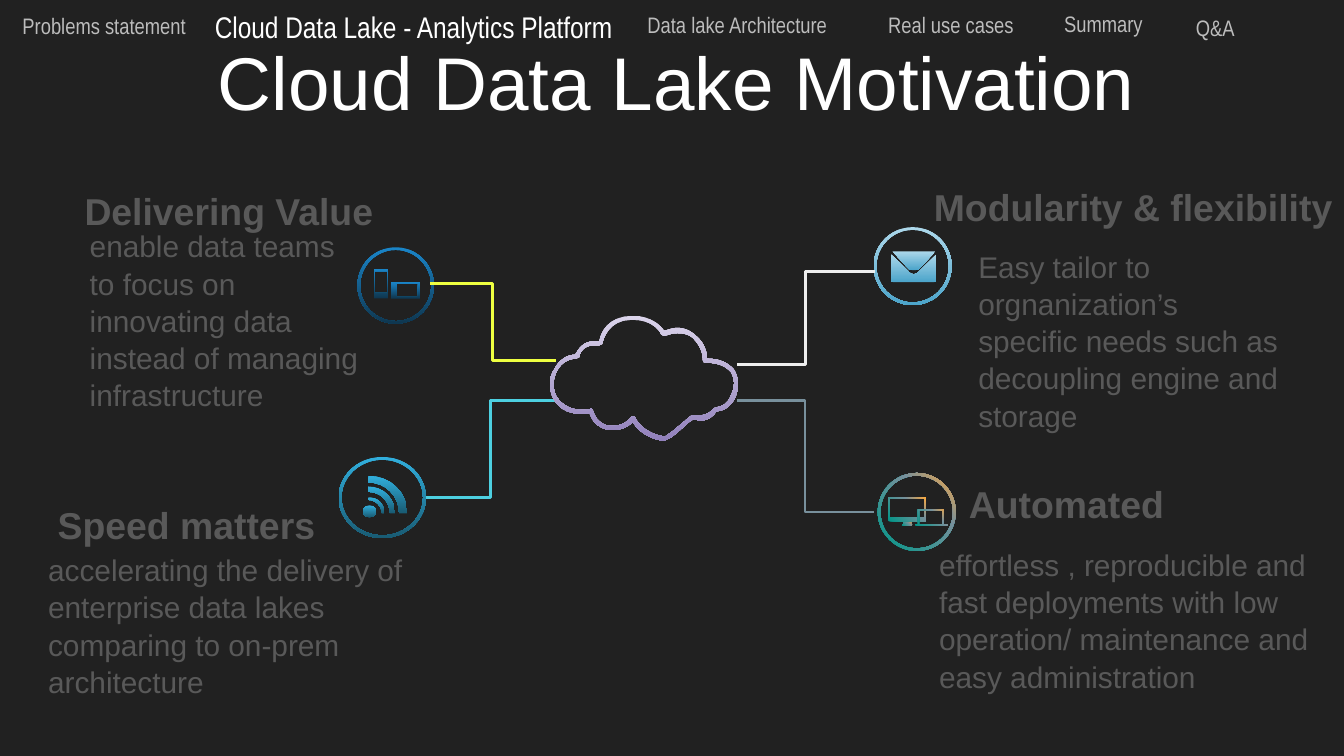
from copy import deepcopy

from pptx import Presentation
from pptx.dml.color import RGBColor
from pptx.enum.shapes import MSO_CONNECTOR as Link, MSO_SHAPE as Preset
from pptx.enum.text import MSO_ANCHOR as Anchor, MSO_AUTO_SIZE as Fit, PP_ALIGN as Align
from pptx.oxml.ns import qn
from pptx.oxml.xmlchemy import OxmlElement
from pptx.util import Pt

BACKGROUND = RGBColor(0x21, 0x21, 0x21)
WHITE = RGBColor(0xFF, 0xFF, 0xFF)
GRAY = RGBColor(0x59, 0x59, 0x59)
SILVER = RGBColor(0xBC, 0xBC, 0xBC)
YELLOW = RGBColor(0xEE, 0xFF, 0x41)
CYAN = RGBColor(0x4D, 0xD0, 0xE1)
PALE = RGBColor(0xEE, 0xEE, 0xEE)
SLATE = RGBColor(0x78, 0x90, 0x9C)
TEAL = RGBColor(0x00, 0x96, 0x88)
ORANGE = RGBColor(0xFF, 0xAB, 0x40)

DEVICE_BLUES = (270, [(0, RGBColor(0x1A, 0x85, 0xC8)), (1, RGBColor(0x0F, 0x37, 0x50))])
MAIL_BLUES = (270, [(0, RGBColor(0xAD, 0xD8, 0xEB)), (1, RGBColor(0x4B, 0xA4, 0xCA))])
SIGNAL_BLUES = (270, [(0, RGBColor(0x31, 0xAF, 0xDD)), (1, RGBColor(0x19, 0x5B, 0x73))])
CLOUD_PURPLES = (270, [(0, RGBColor(0xDB, 0xD4, 0xEB)), (1, RGBColor(0x91, 0x80, 0xBB))])
SUNRISE = (45, [(0, TEAL), (0.66, SLATE), (1, ORANGE)])

OUTLINE_UNIT = Pt(0.72)
CURVE_STEPS = 8


def rectangle(left, top, right, bottom):
    return [(left, top), (right, top), (right, bottom), (left, bottom)]


def flatten(outline):
    points = [outline[0]]
    for step in outline[1:]:
        if len(step) == 2:
            points.append(step)
            continue
        x0, y0 = points[-1]
        x1, y1, x2, y2, x3, y3 = step
        for n in range(1, CURVE_STEPS + 1):
            t = n / CURVE_STEPS
            u = 1 - t
            a, b, c, d = u ** 3, 3 * u * u * t, 3 * u * t * t, t ** 3
            points.append((a * x0 + b * x1 + c * x2 + d * x3,
                           a * y0 + b * y1 + c * y2 + d * y3))
    return [(round(x * OUTLINE_UNIT), round(y * OUTLINE_UNIT)) for x, y in points]


class MotivationSlide:
    title_style = dict(size=Pt(40), name="Arial", color=WHITE)
    heading_style = dict(size=Pt(20), name="Arial", bold=True, color=GRAY)
    body_style = dict(size=Pt(16), name="Arial", color=GRAY)
    tab_style = dict(size=Pt(12), name="Arial Narrow", color=SILVER)
    active_tab_style = dict(size=Pt(16), name="Arial Narrow", color=WHITE)

    def __init__(self, deck):
        self.slide = deck.slides.add_slide(deck.slide_layouts[5])
        self.shapes = self.slide.shapes
        fill = self.slide.background.fill
        fill.solid()
        fill.fore_color.rgb = BACKGROUND

    def fill_text(self, frame, words, style, **layout):
        for key, value in layout.items():
            setattr(frame, key, value)
        paragraph = frame.paragraphs[0]
        run = paragraph.add_run()
        run.text = words
        for key, value in style.items():
            if key == "color":
                run.font.color.rgb = value
            else:
                setattr(run.font, key, value)
        return paragraph

    def title(self, words, box):
        heading = self.shapes.title
        for key, value in zip(("left", "top", "width", "height"), box):
            setattr(heading, key, Pt(value))
        inset = Pt(7.2)
        paragraph = self.fill_text(
            heading.text_frame, words, self.title_style, word_wrap=True,
            auto_size=Fit.NONE, vertical_anchor=Anchor.TOP, margin_left=inset,
            margin_right=inset, margin_top=inset, margin_bottom=inset)
        paragraph.alignment = Align.CENTER

    def label(self, words, box, style):
        frame = self.shapes.add_textbox(*map(Pt, box)).text_frame
        self.fill_text(frame, words, style, word_wrap=True, auto_size=Fit.SHAPE_TO_FIT_TEXT)

    def description(self, words, box):
        frame = self.shapes.add_textbox(*map(Pt, box)).text_frame
        inset = Pt(7.2)
        paragraph = self.fill_text(
            frame, words, self.body_style, word_wrap=True, auto_size=Fit.NONE,
            vertical_anchor=Anchor.MIDDLE, margin_top=inset, margin_bottom=inset)
        paragraph.line_spacing = 1.04

    def paint(self, shape, gradient):
        angle, stops = gradient
        shape.shadow.inherit = False
        shape.line.fill.background()
        shape.fill.gradient()
        shape.fill.gradient_angle = angle
        stop_list = shape._element.spPr.find(qn("a:gradFill")).find(qn("a:gsLst"))
        while len(stop_list) < len(stops):
            stop_list.insert(1, deepcopy(stop_list[0]))
        for stop, (position, color) in zip(shape.fill.gradient_stops, stops):
            stop.position = position
            stop.color.rgb = color

    def preset(self, kind, box, gradient):
        shape = self.shapes.add_shape(kind, *map(Pt, box))
        self.paint(shape, gradient)
        return shape

    def ring(self, box, gradient):
        self.preset(Preset.DONUT, box, gradient).adjustments[0] = 0.035

    def drawing(self, gradient, *outlines):
        first, *others = map(flatten, outlines)
        builder = self.shapes.build_freeform(*first[0], scale=1.0)
        builder.add_line_segments(first[1:], close=True)
        for points in others:
            builder.move_to(*points[0])
            builder.add_line_segments(points[1:], close=True)
        self.paint(builder.convert_to_shape(), gradient)

    def elbow(self, ends, color):
        link = self.shapes.add_connector(Link.ELBOW, *map(Pt, ends))
        link.line.color.rgb = color
        link.line.width = Pt(1.5)
        link._element.spPr.append(OxmlElement("a:effectLst"))


CLOUD_INSIDE = [
    (471, 238), (485, 238, 491, 246, 492, 249), (494, 250), (499, 249, 499, 248, 504, 248),
    (509, 248, 513, 249, 516, 252), (523, 259, 523, 266, 523, 268), (524, 270),
    (527, 270), (531, 270, 539, 271, 544, 277), (547, 282, 547, 288, 544, 294),
    (542, 300, 537, 303, 533, 303), (531, 304), (530, 305, 527, 309, 521, 309),
    (515, 309), (513, 310, 500, 322, 496, 324), (495, 325), (480, 323, 473, 313, 473, 311),
    (472, 310), (470, 310), (468, 313, 463, 317, 456, 317), (453, 317),
    (444, 315, 442, 308, 441, 305), (440, 304), (438, 305, 436, 305, 433, 305),
    (427, 305, 419, 303, 414, 295), (411, 289, 411, 282, 415, 275),
    (418, 270, 423, 267, 428, 267), (431, 266), (431, 263, 434, 257, 442, 257),
    (446, 257), (448, 256), (449, 252, 453, 238, 470, 238)]
CLOUD_OUTSIDE = [
    (471, 235), (452, 235, 447, 248, 446, 254), (442, 254), (433, 254, 430, 261, 428, 264),
    (422, 264, 416, 268, 413, 274), (408, 281, 408, 289, 412, 297),
    (417, 306, 426, 308, 433, 308), (439, 308), (440, 311, 443, 318, 453, 320),
    (456, 320), (463, 320, 468, 317, 471, 314), (473, 318, 480, 326, 493, 328),
    (500, 328, 511, 314, 516, 312), (521, 313), (528, 313, 532, 308, 533, 306),
    (539, 306, 544, 302, 547, 296), (550, 289, 550, 281, 546, 275),
    (540, 268, 532, 267, 527, 267), (526, 267), (526, 263, 525, 256, 518, 250),
    (514, 246, 509, 244, 504, 244), (500, 244, 496, 246, 494, 246),
    (492, 243, 485, 235, 471, 235)]
SIGNAL_WAVES = [
    [(274, 362), (274, 366), (283, 366, 290, 373, 290, 382), (294, 382), (294, 371, 285, 362, 274, 362)],
    [(274, 354), (274, 359), (287, 359, 297, 369, 297, 382), (303, 382), (303, 366, 290, 354, 274, 354)],
    [(274, 370), (274, 372), (279, 372, 284, 376, 284, 382), (286, 382), (286, 375, 281, 370, 274, 370)]]
ENVELOPE_FLAP = [(664, 187), (676, 200), (677, 201, 679, 201, 680, 201),
                 (681, 201, 683, 201, 684, 200), (696, 187)]
ENVELOPE_BODY = [(663, 189), (663, 207), (663, 209, 664, 210, 665, 210), (694, 210),
                 (696, 210, 697, 209, 697, 207), (697, 189), (684, 202),
                 (683, 203, 681, 204, 680, 204), (678, 204, 677, 203, 676, 202)]
MONITOR_STAND = [(672, 388), (672, 390), (671, 391), (679, 391), (678, 390), (678, 388)]
LAPTOP = [(683, 379), (683, 390), (681, 390), (681, 391), (705, 391), (705, 390), (702, 390), (702, 379)]


def main():
    deck = Presentation()
    deck.slide_width, deck.slide_height = Pt(720), Pt(405)
    page = MotivationSlide(deck)
    page.title("Cloud Data Lake Motivation", (38.2, 12.2, 648, 45.4))

    page.drawing(DEVICE_BLUES, rectangle(278, 200, 289, 222), rectangle(279, 202, 288, 218))
    page.drawing(DEVICE_BLUES, rectangle(291, 210, 313, 222), rectangle(295, 211, 311, 221))
    page.ring((191.5, 132.5, 41, 41), DEVICE_BLUES)
    page.drawing(MAIL_BLUES, ENVELOPE_FLAP)
    page.drawing(MAIL_BLUES, ENVELOPE_BODY)
    page.ring((468, 121.7, 41.8, 41.8), MAIL_BLUES)
    page.drawing(SUNRISE, MONITOR_STAND)
    page.drawing(SUNRISE, rectangle(661, 370, 689, 388), rectangle(662, 371, 688, 385))
    page.drawing(SUNRISE, LAPTOP, rectangle(684, 380, 701, 390))
    page.ring((470.2, 253.4, 41.8, 41.8), SUNRISE)
    for wave in SIGNAL_WAVES:
        page.drawing(SIGNAL_BLUES, wave)
    page.preset(Preset.OVAL, (194.4, 270.7, 7.2, 6.5), SIGNAL_BLUES)
    page.ring((181.4, 244.8, 46.8, 43.5), SIGNAL_BLUES)

    for ends, color in [
        ((230.4, 151.9, 297.6, 193), YELLOW),
        ((228, 266.4, 297.6, 214.8), CYAN),
        ((468.7, 145.4, 394.6, 195.1), PALE),
        ((468, 274.3, 394.6, 214.6), SLATE),
    ]:
        page.elbow(ends, color)
    page.drawing(CLOUD_PURPLES, CLOUD_OUTSIDE, CLOUD_INSIDE)

    for heading, heading_box, words, words_box in [
        ("Delivering Value", (38.2, 97.2, 256.3, 31.7),
         "enable data teams to focus on innovating data instead of managing infrastructure",
         (41, 141.8, 159.8, 59)),
        ("Speed matters", (23.8, 265.7, 360, 31.7),
         "accelerating the delivery of enterprise data lakes comparing to on-prem architecture",
         (18.7, 311, 213.8, 47.5)),
        ("Modularity & flexibility", (493.2, 95, 337.7, 31.7),
         "Easy tailor to orgnanization’s specific needs such as decoupling engine and storage",
         (517, 152.6, 177.8, 59)),
        ("Automated", (511.9, 254.2, 150.5, 31.7),
         "effortless , reproducible and fast deployments with low operation/ maintenance and easy administration",
         (496, 302.4, 213.8, 59)),
    ]:
        page.label(heading, heading_box, page.heading_style)
        page.description(words, words_box)

    for tab, box in [
        ("Problems statement", (5, 2.9, 167.8, 21.6)),
        ("Data lake Architecture", (339.8, 2.2, 360, 21.6)),
        ("Real use cases", (468.7, 2.2, 87.1, 21.6)),
        ("Summary", (563, 1.8, 70.6, 21.6)),
        ("Q&A", (633.6, 3.8, 51.1, 21.6)),
    ]:
        page.label(tab, box, page.tab_style)
    page.label("Cloud Data Lake - Analytics Platform", (108, 0.9, 360, 26.6), page.active_tab_style)

    deck.save("out.pptx")


if __name__ == "__main__":
    main()
